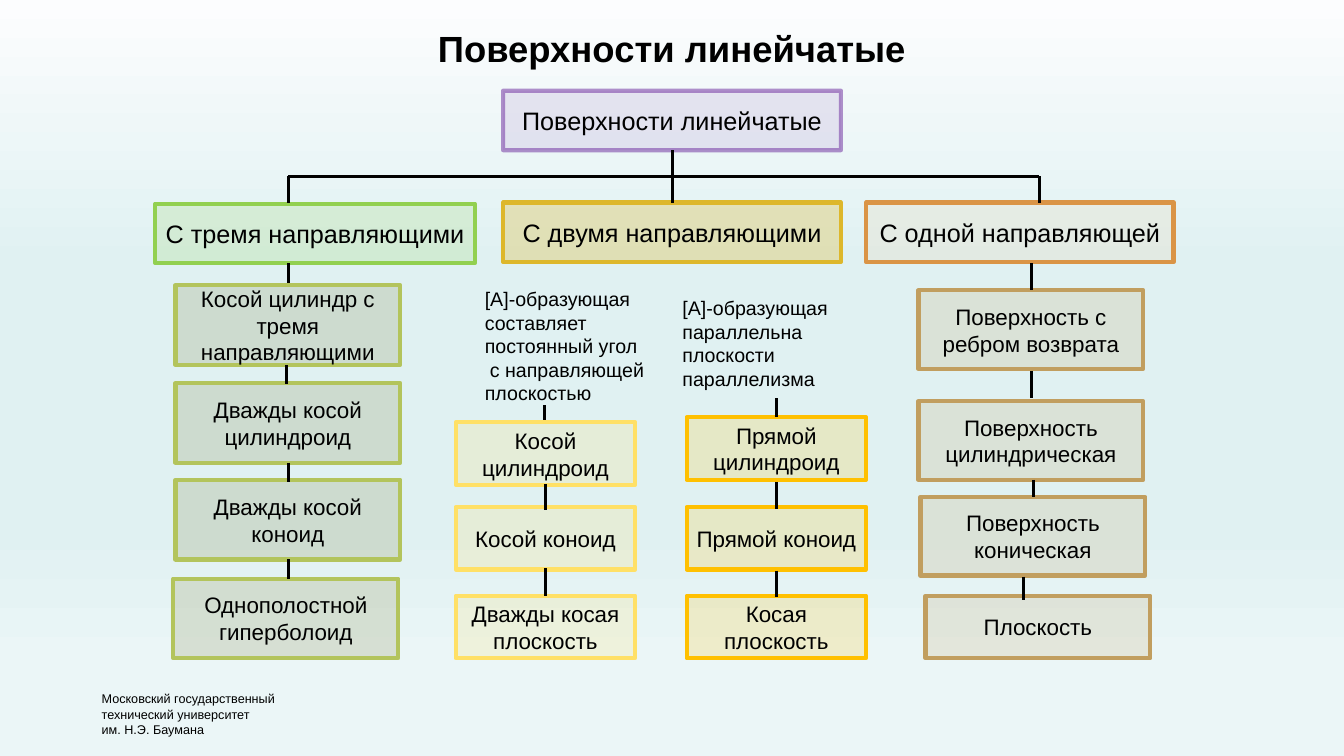
"""Build a slide that sorts ruled surfaces by their number of guide lines."""
from lxml import etree
from pptx import Presentation
from pptx.dml.color import RGBColor
from pptx.enum.shapes import MSO_CONNECTOR, MSO_SHAPE
from pptx.enum.text import MSO_ANCHOR, MSO_AUTO_SIZE, PP_ALIGN
from pptx.oxml.ns import qn
from pptx.util import Inches, Pt

RECT = MSO_SHAPE.RECTANGLE
LINE = MSO_CONNECTOR.STRAIGHT
MIDDLE, TOP = MSO_ANCHOR.MIDDLE, MSO_ANCHOR.TOP
CENTER, LEFT = PP_ALIGN.CENTER, PP_ALIGN.LEFT
FIXED = MSO_AUTO_SIZE.NONE

FONT = "Arial"
COLORS = {
    "ink": "000000", "purple": "7030A0", "green": "92D050",
    "peach": "EECDA0", "orange": "DA9446", "gold": "DDB72B",
    "olive": "7C7C30", "lime": "B3C45C", "tan": "C19E5F",
    "lemon": "FFE066", "amber": "FFC000",
}
SKY = [(0, "FCFDFE"), (35, "E0F1F2"), (69, "E0F1F2"),
       (88, "EBF6F7"), (100, "EBF6F7")]

HEADS = [
    ("Поверхности линейчатые", 4.99, 0.9, 3.35, "purple", "purple", 10),
    ("С тремя направляющими", 1.54, 2.02, 3.17, "green", "green", 18),
    ("С двумя направляющими", 4.99, 2.01, 3.35, "gold", "gold", 30),
    ("С одной направляющей", 8.59, 2.01, 3.05, "peach", "orange", 18),
]
GROUPS = [
    ("olive", "lime", 2.23, [
        ("Косой цилиндр с тремя направляющими", 1.74, 2.83, 0.79),
        ("Дважды косой цилиндроид", 1.74, 3.8, 0.79),
        ("Дважды косой коноид", 1.74, 4.76, 0.79),
        ("Однополостной гиперболоид", 1.72, 5.74, 0.79)]),
    ("lemon", "lemon", 1.78, [
        ("Косой цилиндроид", 4.52, 4.19, 0.62),
        ("Косой коноид", 4.52, 5.03, 0.62),
        ("Дважды косая плоскость", 4.52, 5.91, 0.62)]),
    ("amber", "amber", 1.78, [
        ("Прямой цилиндроид", 6.81, 4.14, 0.62),
        ("Прямой коноид", 6.81, 5.03, 0.62),
        ("Косая плоскость", 6.81, 5.91, 0.62)]),
    ("tan", "tan", 2.23, [
        ("Поверхность с ребром возврата", 9.11, 2.88, 0.78),
        ("Поверхность цилиндрическая", 9.11, 3.98, 0.78),
        ("Поверхность коническая", 9.13, 4.93, 0.78),
        ("Плоскость", 9.18, 5.91, 0.62)]),
]
NOTES = [
    (["[А]-образующая составляет постоянный угол",
      "с направляющей плоскостью"], 4.71, 2.8, 1.95, 1.28, 14),
    (["[А]-образующая параллельна плоскости параллелизма"],
     6.67, 2.89, 1.66, 1.04, 14),
    (["Московский государственный", "технический университет",
      "им. Н.Э. Баумана"], 0.91, 6.81, 1.98, 0.56, 9),
]
STEMS = [
    (6.67, 1.49, 2.01), (2.86, 1.75, 2.01), (10.31, 1.75, 2.01),
    (2.86, 2.61, 2.81), (2.84, 3.62, 3.81), (2.86, 4.59, 4.78),
    (2.86, 5.55, 5.74), (5.4, 4.02, 4.17), (5.41, 4.8, 5.06),
    (5.41, 5.64, 5.91), (7.7, 3.95, 4.14), (7.7, 4.78, 5.05),
    (7.7, 5.66, 5.92), (10.23, 2.61, 2.88), (10.23, 3.68, 3.95),
    (10.25, 4.76, 4.93), (10.15, 5.72, 5.95),
]


def paint(fill, name, alpha=100):
    """Give a fill a solid colour."""
    fill.solid()
    fill.fore_color.rgb = RGBColor.from_string(COLORS[name])


def fade(node, alpha):
    """Set the opacity of the colour in a solid fill, in percent."""
    color = node.find(qn("a:solidFill")).find(qn("a:srgbClr"))
    etree.SubElement(color, qn("a:alpha"), val=str(alpha * 1000))


def write(frame, lines, size, align, anchor, bold=False):
    """Fill a text frame with lines in one style."""
    frame.text = "\n".join(lines)
    frame.word_wrap = True
    frame.auto_size = FIXED
    frame.vertical_anchor = anchor
    for para in frame.paragraphs:
        para.alignment = align
        for run in para.runs:
            run.font.name = FONT
            run.font.size = Pt(size)
            run.font.bold = bold
            run.font.color.rgb = RGBColor.from_string(COLORS["ink"])


def add_sky(slide):
    """Lay a top-down gradient on the background."""
    slide.background.fill.gradient()
    grad = slide.element.find(".//" + qn("a:gradFill"))
    stops = grad.find(qn("a:gsLst"))
    for stop in list(stops):
        stops.remove(stop)
    for place, color in SKY:
        stop = etree.SubElement(stops, qn("a:gs"), pos=str(place * 1000))
        etree.SubElement(stop, qn("a:srgbClr"), val=color)
    grad.find(qn("a:lin")).set("ang", "5400000")


def add_title(slide, text):
    """Place the slide title."""
    title = slide.shapes.title
    title.left, title.top = Inches(4.22), Inches(0.21)
    title.width, title.height = Inches(4.89), Inches(0.54)
    write(title.text_frame, [text], 26, CENTER, MIDDLE, True)


def add_box(slide, text, x, y, w, h, size, fill, edge, alpha):
    """Draw a framed box with a faint fill and centred text."""
    box = slide.shapes.add_shape(RECT, Inches(x), Inches(y),
                                 Inches(w), Inches(h))
    box.shadow.inherit = False
    paint(box.fill, fill)
    fade(box.element.spPr, alpha)
    paint(box.line.fill, edge)
    box.line.width = Pt(3)
    frame = box.text_frame
    frame.margin_left = frame.margin_right = Inches(0.08)
    write(frame, [text], size, CENTER, MIDDLE)
    return box


def add_note(slide, lines, x, y, w, h, size):
    """Add a plain left-aligned text box."""
    note = slide.shapes.add_textbox(Inches(x), Inches(y),
                                    Inches(w), Inches(h))
    note.text_frame.margin_right = Inches(0.05)
    write(note.text_frame, lines, size, LEFT, TOP)
    return note


def add_link(slide, x1, y1, x2, y2):
    """Draw a straight black link."""
    link = slide.shapes.add_connector(LINE, Inches(x1), Inches(y1),
                                      Inches(x2), Inches(y2))
    paint(link.line.fill, "ink")
    link.line.width = Pt(2)
    etree.SubElement(link.element.spPr, qn("a:effectLst"))


def main():
    """Build the slide and save it."""
    deck = Presentation()
    deck.slide_width, deck.slide_height = Inches(13.33), Inches(7.5)
    slide = deck.slides.add_slide(deck.slide_layouts[5])
    add_sky(slide)
    add_title(slide, "Поверхности линейчатые")
    heads = [add_box(slide, text, x, y, w, 0.59, 18, fill, edge, alpha)
             for text, x, y, w, fill, edge, alpha in HEADS]
    fade(heads[0].element.spPr.find(qn("a:ln")), 52)
    for fill, edge, w, items in GROUPS:
        for text, x, y, h in items:
            add_box(slide, text, x, y, w, h, 16, fill, edge, 18)
    add_link(slide, 2.86, 1.75, 10.31, 1.75)
    for x, top, end in STEMS:
        add_link(slide, x, top, x, end)
    notes = [add_note(slide, *note) for note in NOTES]
    para = notes[0].text_frame.paragraphs[1]
    para.font.size = Pt(14)
    para._p.get_or_add_pPr().set("indent", str(Inches(0.05)))
    deck.save("out.pptx")


if __name__ == "__main__":
    main()
